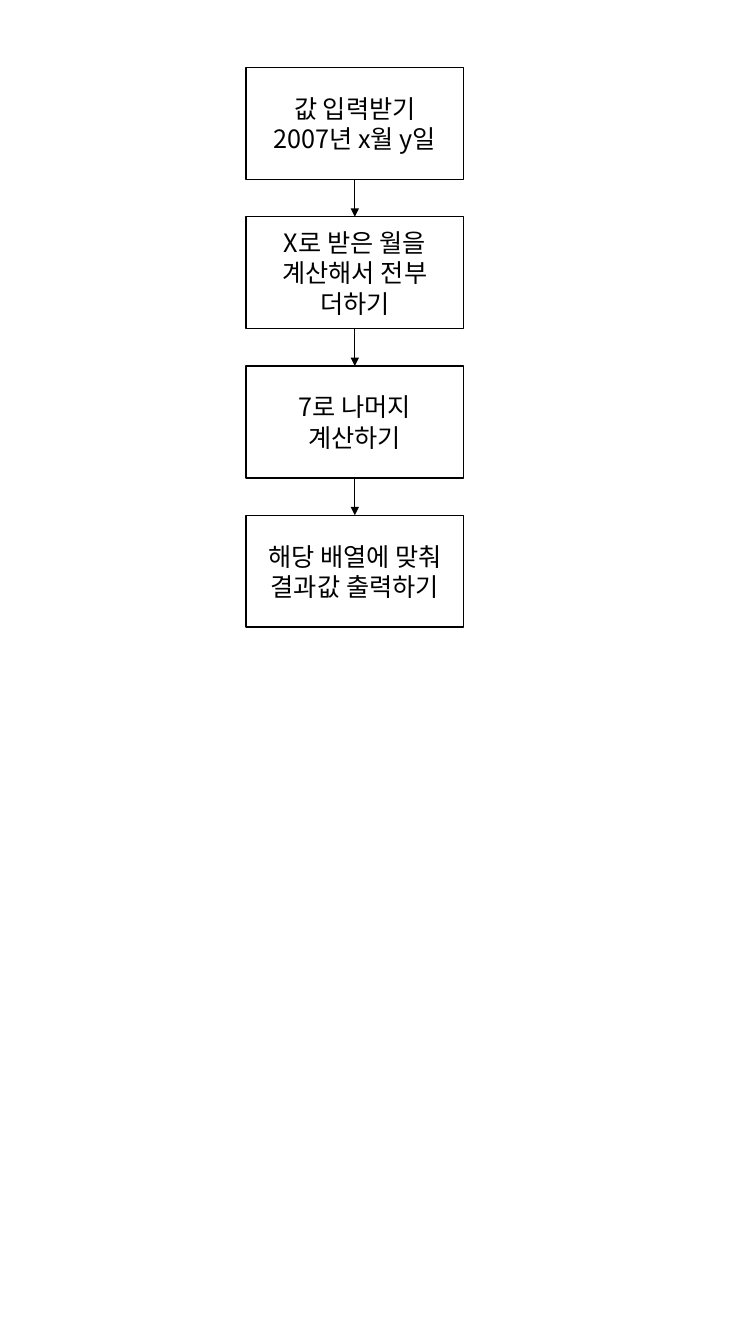
from itertools import pairwise

from lxml import etree
from pptx import Presentation
from pptx import util as u
from pptx.dml.color import RGBColor
from pptx.enum import shapes, text
from pptx.oxml import ns

BLACK = RGBColor(0x00, 0x00, 0x00)
WHITE = RGBColor(0xFF, 0xFF, 0xFF)
FONT = "Noto Sans CJK KR"
STEP_HEIGHT = u.Inches(1.11)
STEP_GAP = u.Inches(0.37)
STEPS = [
    ["값 입력받기", "2007년 x월 y일"],
    ["X로 받은 월을 계산해서 전부 더하기"],
    ["7로 나머지 계산하기"],
    ["해당 배열에 맞춰 결과값 출력하기"],
]


def add_run(para, words):
    """Add one run in the Korean font."""
    span = para.add_run()
    span.text = words
    span.font.size = u.Pt(18)
    span.font.color.rgb = BLACK
    span.font.name = FONT
    etree.SubElement(span.font._element, ns.qn("a:ea"), typeface=FONT)


def add_step(page, left, top, width, height, lines):
    """Draw one outlined step with centred text and return it."""
    box = page.shapes.add_shape(
        shapes.MSO_SHAPE.RECTANGLE, left, top, width, height)
    box.shadow.inherit = False
    box.fill.solid()
    box.fill.fore_color.rgb = WHITE
    box.line.color.rgb = BLACK
    box.line.width = u.Pt(1)
    frame = box.text_frame
    frame.word_wrap = True
    frame.vertical_anchor = text.MSO_ANCHOR.MIDDLE
    para = frame.paragraphs[0]
    para.alignment = text.PP_ALIGN.CENTER
    for index, words in enumerate(lines):
        if index:
            para.add_line_break()
        add_run(para, words)
    return box


def add_arrow(page, upper, lower):
    """Join the bottom of one step to the top of the next."""
    arrow = page.shapes.add_connector(shapes.MSO_CONNECTOR.STRAIGHT, 0, 0, 0, 0)
    arrow.begin_connect(upper, 2)
    arrow.end_connect(lower, 0)
    arrow.line.color.rgb = BLACK
    arrow.line.width = u.Pt(0.75)
    etree.SubElement(arrow.line._get_or_add_ln(), ns.qn("a:tailEnd"),
                     type="triangle")
    etree.SubElement(arrow._element.spPr, ns.qn("a:effectLst"))


def add_flowchart(page, left, top, width):
    """Stack the steps at equal gaps and link them with arrows."""
    boxes = [
        add_step(page, left, top + index * (STEP_HEIGHT + STEP_GAP),
                 width, STEP_HEIGHT, lines)
        for index, lines in enumerate(STEPS)
    ]
    for upper, lower in pairwise(boxes):
        add_arrow(page, upper, lower)


deck = Presentation()
deck.slide_width = u.Inches(7.5)
deck.slide_height = u.Inches(13.33)
page = deck.slides.add_slide(deck.slide_layouts[6])
add_flowchart(page, u.Inches(2.44), u.Inches(0.67), u.Inches(2.16))
deck.save("out.pptx")
